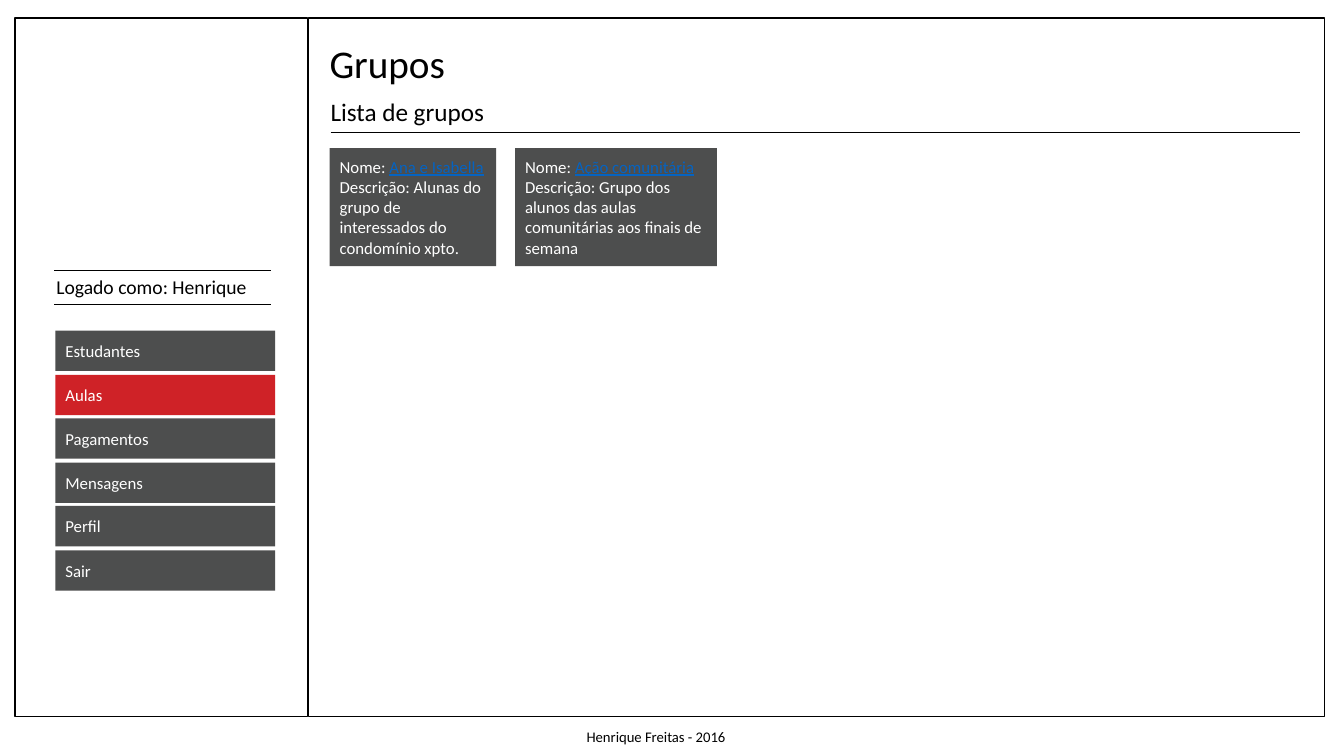
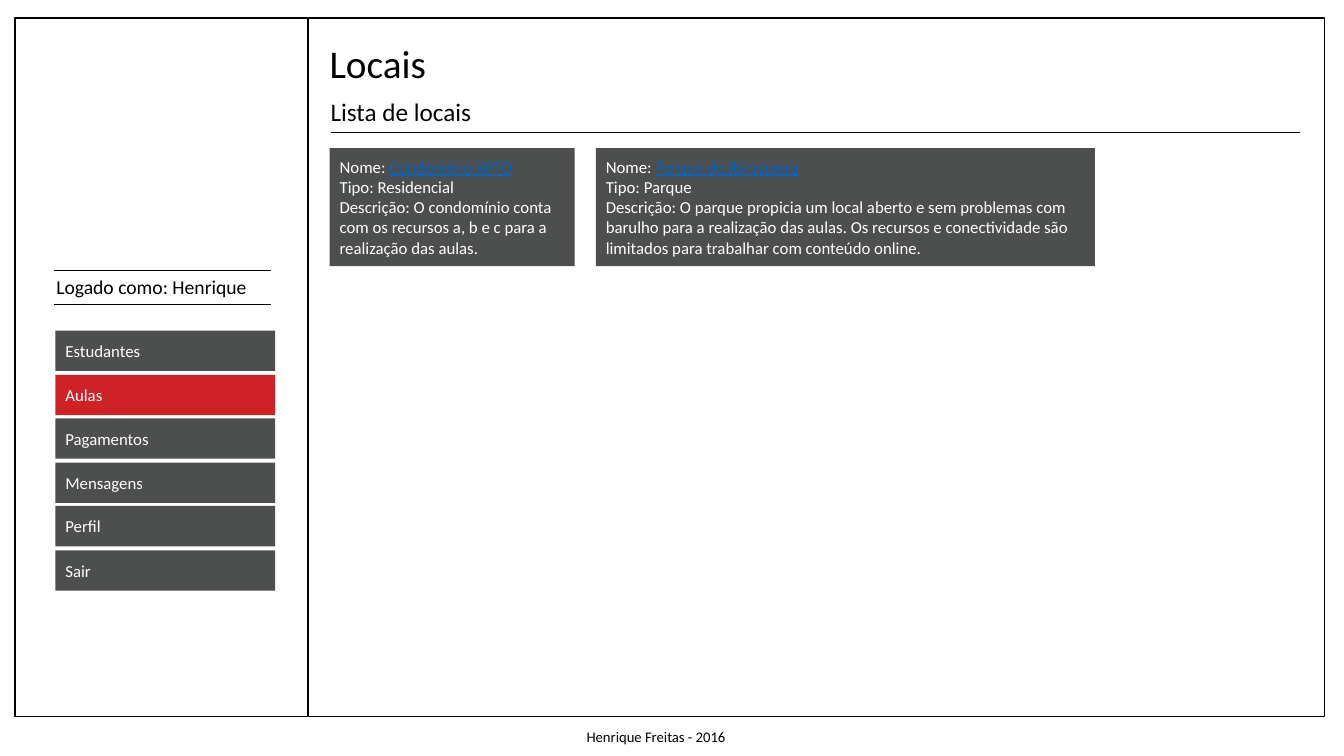
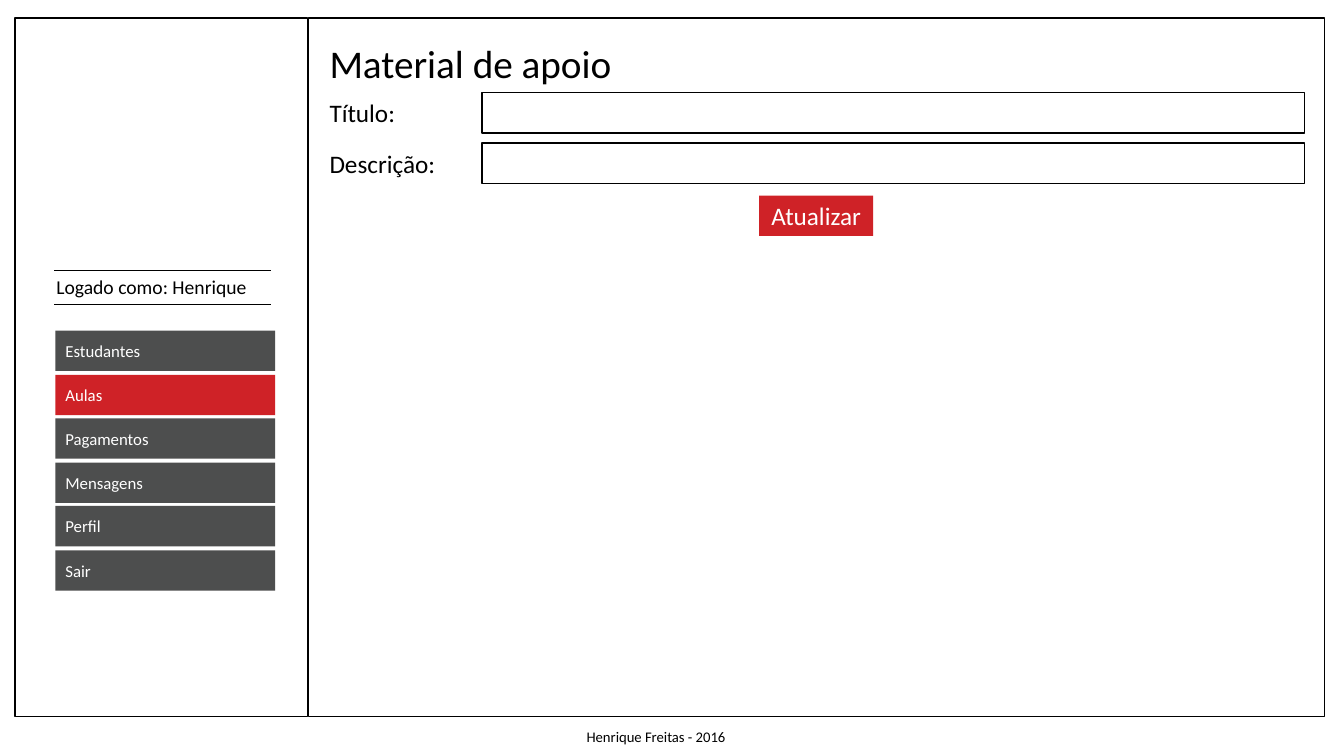
"""Builds three screens of a class management system that share one frame and menu."""
from dataclasses import dataclass

from lxml.etree import SubElement
from pptx import Presentation
from pptx.dml.color import RGBColor
from pptx.enum.shapes import MSO_CONNECTOR, MSO_SHAPE
from pptx.enum.text import MSO_ANCHOR, MSO_AUTO_SIZE, PP_ALIGN
from pptx.oxml.ns import qn
from pptx.util import Emu, Pt


@dataclass(frozen=True)
class Theme:
    """Colours, font and sizes used on every page."""
    font: str = "Calibri"
    ink: str = "000000"
    paper: str = "FFFFFF"
    panel: str = "4D4E4E"
    accent: str = "CF2227"
    link: str = "0563C1"
    title: float = 28
    heading: float = 18
    login: float = 14
    body: float = 12
    footer: float = 10.5
    outline: float = 1
    rule: float = 0.5


THEME = Theme()
PX = 9144

LOGIN = "Logado como: Henrique"
FOOTER = "Henrique Freitas - 2016"
MENU = ["Estudantes", "Aulas", "Pagamentos", "Mensagens", "Perfil", "Sair"]
ACTIVE = "Aulas"
MENU_TOP, MENU_LAST = 328, 546
ROW_HEIGHT = 40
FIELD_TOP, FIELD_STEP = 92, 50

LISTS = [
    {
        "title": ("Grupos", 136),
        "heading": ("Lista de grupos", 174),
        "cards": [
            (327, 165, "Ana e Isabella",
             ["Descrição: Alunas do grupo de interessados do condomínio xpto."]),
            (511, 200, "Ação comunitária",
             ["Descrição: Grupo dos alunos das aulas comunitárias aos finais de semana"]),
        ],
    },
    {
        "title": ("Locais", 117),
        "heading": ("Lista de locais", 161),
        "cards": [
            (327, 243, "Condomínio XPTO",
             ["Tipo: Residencial",
              "Descrição: O condomínio conta com os recursos a, b e c para a realização das aulas."]),
            (591, 495, "Parque do Ibirapuera",
             ["Tipo: Parque",
              "Descrição: O parque propicia um local aberto e sem problemas com barulho para a "
              "realização das aulas. Os recursos e conectividade são limitados para trabalhar "
              "com conteúdo online."]),
        ],
    },
]
FORM = {
    "title": ("Material de apoio", 303),
    "fields": [("Título:", 86), ("Descrição:", 126)],
    "button": "Atualizar",
}


def px(*lengths):
    return [Emu(length * PX) for length in lengths]


def rgb(colour):
    return RGBColor.from_string(colour)


def style(span, size, colour):
    span.font.name = THEME.font
    span.font.size = Pt(size)
    span.font.color.rgb = rgb(colour)


def add_label(page, text, size, left, top, width, height):
    box = page.shapes.add_textbox(*px(left, top, width, height))
    frame = box.text_frame
    frame.word_wrap = False
    frame.auto_size = MSO_AUTO_SIZE.SHAPE_TO_FIT_TEXT
    frame.text = text
    style(frame.paragraphs[0].runs[0], size, THEME.ink)


def add_rectangle(page, left, top, width, height):
    box = page.shapes.add_shape(MSO_SHAPE.RECTANGLE, *px(left, top, width, height))
    box.shadow.inherit = False
    return box


def add_outline(page, *place):
    box = add_rectangle(page, *place)
    box.fill.background()
    box.line.color.rgb = rgb(THEME.ink)
    box.line.width = Pt(THEME.outline)


def add_panel(page, lines, size, colour, *place, align=PP_ALIGN.LEFT):
    box = add_rectangle(page, *place)
    box.fill.solid()
    box.fill.fore_color.rgb = rgb(colour)
    box.line.fill.background()
    frame = box.text_frame
    frame.word_wrap = True
    frame.vertical_anchor = MSO_ANCHOR.MIDDLE
    frame.text = "\n".join(lines)
    for para in frame.paragraphs:
        para.alignment = align
        for span in para.runs:
            style(span, size, THEME.paper)
    return frame


def add_rule(page, left, right, top):
    rule = page.shapes.add_connector(MSO_CONNECTOR.STRAIGHT, *px(left, top, right, top))
    rule.line.color.rgb = rgb(THEME.ink)
    rule.line.width = Pt(THEME.rule)
    SubElement(rule.element.spPr, qn("a:effectLst"))


def add_page(deck, title):
    page = deck.slides.add_slide(deck.slide_layouts[6])
    add_outline(page, 306, 18, 1008, 693)
    add_outline(page, 15, 18, 290, 693)
    add_label(page, LOGIN, THEME.login, 46, 268, 211, 34)
    for top in (268, 302):
        add_rule(page, 54, 269, top)
    add_label(page, FOOTER, THEME.footer, 572, 717, 161, 28)
    step = (MENU_LAST - MENU_TOP) / (len(MENU) - 1)
    for index, entry in enumerate(MENU):
        colour = THEME.accent if entry == ACTIVE else THEME.panel
        add_panel(page, [entry], THEME.body, colour,
                  55, MENU_TOP + round(index * step), 218, ROW_HEIGHT)
    text, width = title
    add_label(page, text, THEME.title, 317, 34, width, 57)
    return page


def add_card(page, left, width, name, details):
    frame = add_panel(page, ["Nome: ", *details], THEME.body, THEME.panel,
                      left, 147, width, 117)
    span = frame.paragraphs[0].add_run()
    span.text = name
    style(span, THEME.body, THEME.link)
    span.font.underline = True


def add_list_page(deck, content):
    page = add_page(deck, content["title"])
    text, width = content["heading"]
    add_label(page, text, THEME.heading, 318, 91, width, 40)
    add_rule(page, 328, 1289, 131)
    for card in content["cards"]:
        add_card(page, *card)


def add_form_page(deck, content):
    page = add_page(deck, content["title"])
    for index, (text, width) in enumerate(content["fields"]):
        top = FIELD_TOP + index * FIELD_STEP
        add_label(page, text, THEME.heading, 317, top, width, ROW_HEIGHT)
        add_outline(page, 478, top, 816, ROW_HEIGHT)
    add_panel(page, [content["button"]], THEME.heading, THEME.accent,
              753, 194, 113, ROW_HEIGHT, align=PP_ALIGN.CENTER)


def main():
    deck = Presentation()
    deck.slide_width, deck.slide_height = px(1333, 750)
    for content in LISTS:
        add_list_page(deck, content)
    add_form_page(deck, FORM)
    deck.save("out.pptx")


if __name__ == "__main__":
    main()
